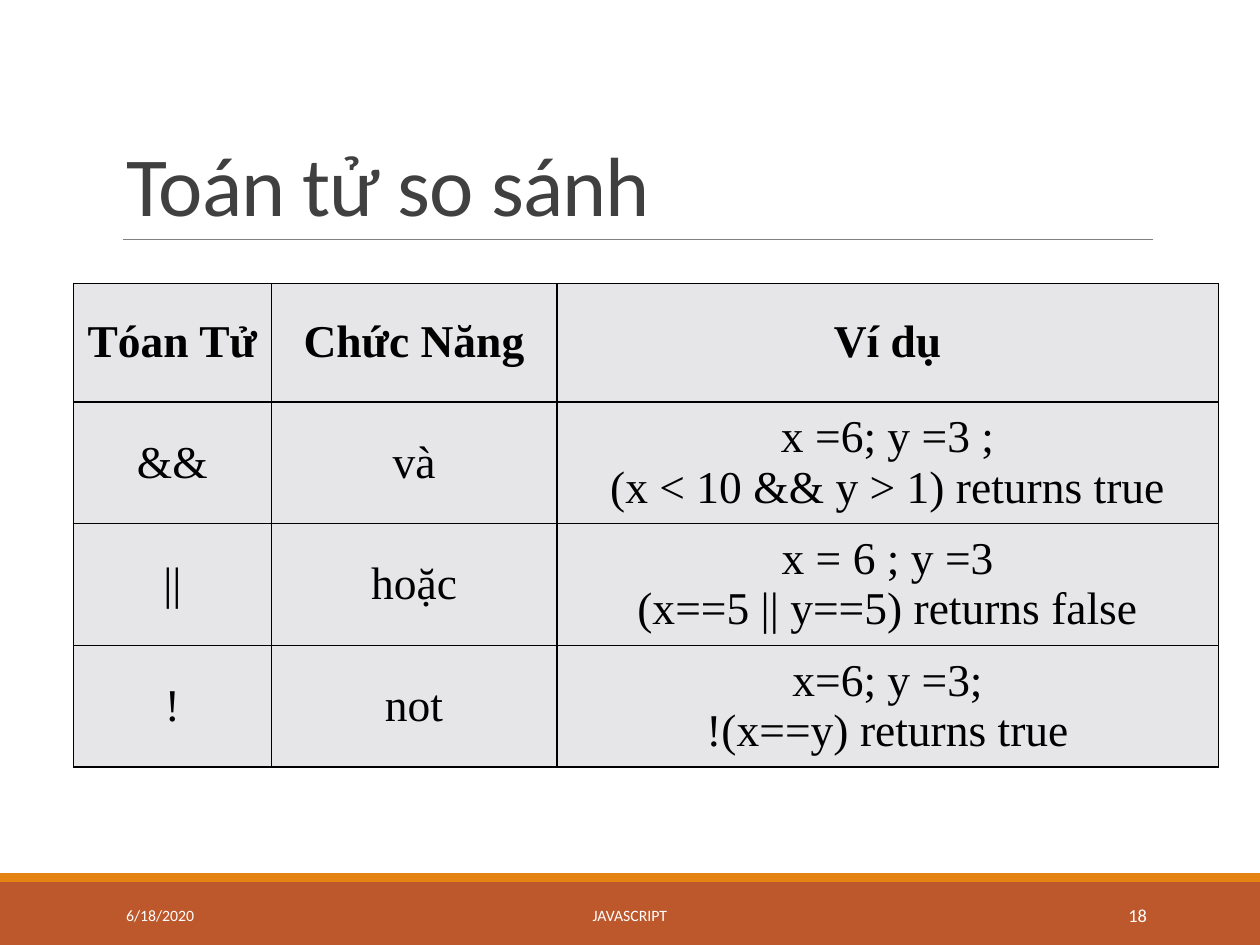
"""Build a slide with a table of JavaScript logical operators."""
from lxml.etree import SubElement
from pptx import Presentation
from pptx.dml.color import RGBColor
from pptx.enum.shapes import MSO_CONNECTOR, MSO_SHAPE
from pptx.enum.text import MSO_ANCHOR, PP_ALIGN
from pptx.oxml import parse_xml
from pptx.oxml.ns import qn
from pptx.util import Pt

HUES = {
    "rust": "BD582C", "orange": "E48312", "rule": "808080", "title": "404040",
    "white": "FFFFFF", "black": "000000", "cell": "E6E5E7",
}


def hue(name):
    return RGBColor.from_string(HUES[name])


def write(frame, text, size, color, font="Calibri", bold=False,
          align=PP_ALIGN.LEFT, space=None, track=None):
    frame.text = text
    frame.word_wrap = True
    for para in frame.paragraphs:
        para.alignment = align
        para.line_spacing = space
        for run in para.runs:
            run.font.size = Pt(size)
            run.font.name = font
            run.font.bold = bold
            run.font.color.rgb = hue(color)
            if track is not None:
                run.font._element.set("spc", str(track))


deck = Presentation()
deck.slide_width, deck.slide_height = Pt(720), Pt(540)
slide = deck.slides.add_slide(deck.slide_layouts[6])
shapes = slide.shapes

for top, height, color in [(504, 36, "rust"), (499, 5, "orange")]:
    band = shapes.add_shape(MSO_SHAPE.RECTANGLE, 0, Pt(top), Pt(720), Pt(height))
    band.shadow.inherit = False
    band.fill.solid()
    band.fill.fore_color.rgb = hue(color)
    band.line.fill.background()

rule = shapes.add_connector(MSO_CONNECTOR.STRAIGHT, Pt(70.5), Pt(136.8), Pt(658.8), Pt(136.8))
rule.line.color.rgb = hue("rule")
rule.line.width = Pt(0.5)
SubElement(rule._element.spPr, qn("a:effectLst"))

title = shapes.add_textbox(Pt(65), Pt(22.5), Pt(594), Pt(114.5)).text_frame
title.vertical_anchor = MSO_ANCHOR.BOTTOM
write(title, "Toán tử so sánh", size=48, color="title", space=0.85, track=-50)

notes = [
    ("6/18/2020", 65, 146, 9, PP_ALIGN.LEFT),
    ("JAVASCRIPT", 217.5, 285, 9, PP_ALIGN.CENTER),
    ("18", 584.5, 78, 10.5, PP_ALIGN.RIGHT),
]
for text, left, width, size, align in notes:
    foot = shapes.add_textbox(Pt(left), Pt(508.5), Pt(width), Pt(28.75)).text_frame
    foot.vertical_anchor = MSO_ANCHOR.MIDDLE
    write(foot, text, size=size, color="white", align=align)

rows = [
    ("Tóan Tử", "Chức Năng", "Ví dụ"),
    ("&&", "và", "x =6; y =3 ;\n(x < 10 && y > 1) returns true"),
    ("||", "hoặc", "x = 6 ; y =3\n(x==5 || y==5) returns false"),
    ("!", "not", "x=6; y =3;\n!(x==y) returns true"),
]
widths = [113, 163.25, 378]
tall = 67.6
grid = shapes.add_table(len(rows), len(widths), Pt(42), Pt(162),
                        Pt(sum(widths)), Pt(tall * len(rows))).table
for col, width in zip(grid.columns, widths):
    col.width = Pt(width)

edge = (
    '<a:{side} xmlns:a="http://schemas.openxmlformats.org/drawingml/2006/main" w="12700">'
    '<a:solidFill><a:srgbClr val="{color}"/></a:solidFill></a:{side}>'
)
for i, row in enumerate(rows):
    grid.rows[i].height = Pt(tall)
    for j, text in enumerate(row):
        cell = grid.cell(i, j)
        cell.vertical_anchor = MSO_ANCHOR.MIDDLE
        write(cell.text_frame, text, size=26, color="black", font="Times New Roman",
              bold=i == 0, align=PP_ALIGN.CENTER)
        props = cell._tc.get_or_add_tcPr()
        for side in ("lnL", "lnR", "lnT", "lnB"):
            props.append(parse_xml(edge.format(side=side, color=HUES["black"])))
        cell.fill.solid()
        cell.fill.fore_color.rgb = hue("cell")

deck.save("out.pptx")
